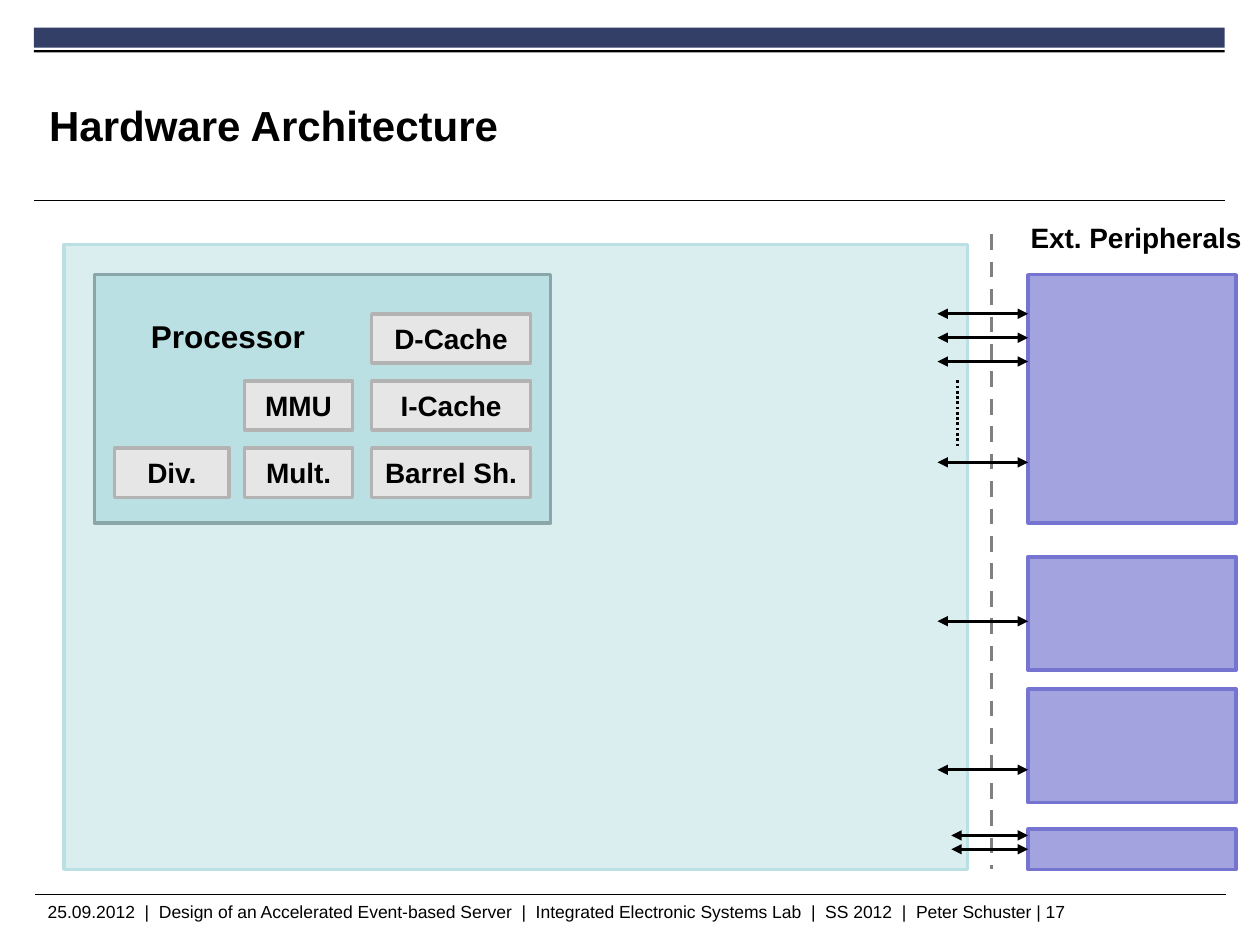
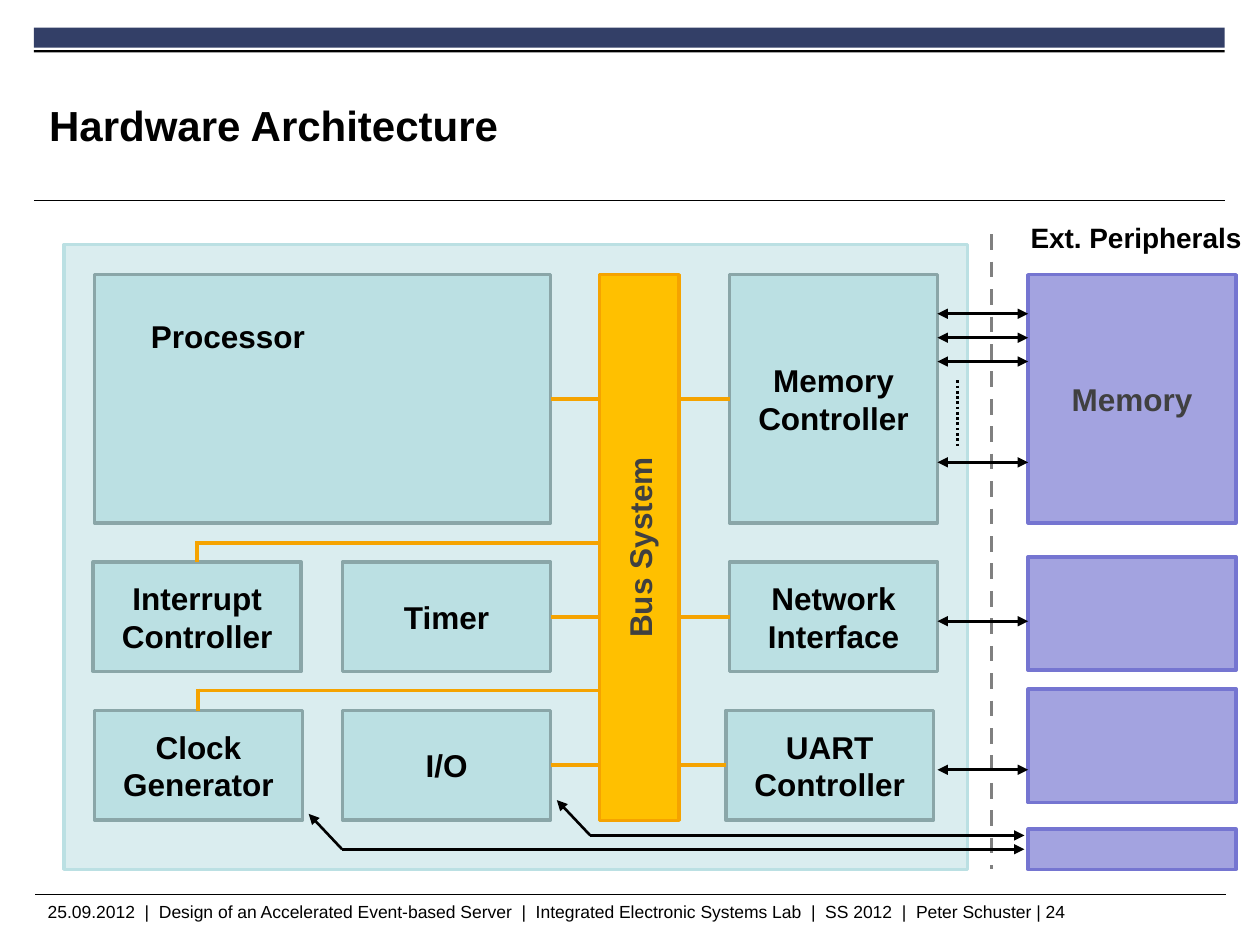
from dataclasses import dataclass
from typing import NamedTuple

from pptx import Presentation
from pptx.dml.color import RGBColor
from pptx.enum.dml import MSO_LINE
from pptx.enum.shapes import MSO_CONNECTOR, MSO_SHAPE
from pptx.enum.text import MSO_ANCHOR, PP_ALIGN
from pptx.oxml.ns import qn
from pptx.util import Pt

RECT = MSO_SHAPE.RECTANGLE
STRAIGHT = MSO_CONNECTOR.STRAIGHT
DASH, DOT = MSO_LINE.DASH, MSO_LINE.ROUND_DOT
TOP, MIDDLE = MSO_ANCHOR.TOP, MSO_ANCHOR.MIDDLE
LEFT, CENTER = PP_ALIGN.LEFT, PP_ALIGN.CENTER
NORTH, WEST, EAST = 0, 1, 3  # connection sites of a rectangle


# Theme
@dataclass(frozen=True)
class Theme:
    font: str = "Arial"
    black: str = "000000"
    navy: str = "333F67"
    gray: str = "808080"
    dark: str = "404040"
    pale: str = "DAEDEF"
    aqua: str = "BBE0E3"
    teal: str = "8AA6A8"
    lilac: str = "A3A3E0"
    violet: str = "7575D1"
    silver: str = "E6E6E6"
    steel: str = "B3B3B3"
    gold: str = "FFC000"
    orange: str = "F5A300"
    title: float = 24
    block: float = 18
    label: float = 16
    foot: float = 10
    border: float = 2
    hair: float = 0.6
    arrow: float = 1.5
    wire: float = 2.25


THEME = Theme()


class Look(NamedTuple):
    fill: str
    edge: str | None = None
    ink: str = THEME.black
    size: float = THEME.block


BAND = Look(THEME.navy)
BAR = Look(THEME.black)
CHIP = Look(THEME.pale, THEME.aqua)
UNIT = Look(THEME.aqua, THEME.teal)
PART = Look(THEME.silver, THEME.steel, size=THEME.label)
EXTERN = Look(THEME.lilac, THEME.violet, THEME.dark)
BUS = Look(THEME.gold, THEME.orange, THEME.dark)


class Inset(NamedTuple):
    left: float = 7.2
    top: float = 3.6
    right: float = 7.2
    bottom: float = 3.6


@dataclass(frozen=True)
class Box:
    left: float
    top: float
    width: float
    height: float
    look: Look
    text: str = ""
    anchor: MSO_ANCHOR = MIDDLE
    align: PP_ALIGN = CENTER
    inset: Inset = Inset()
    turned: bool = False


@dataclass(frozen=True)
class Label:
    left: float
    top: float
    width: float
    height: float
    text: str
    size: float
    bold: bool = True
    anchor: MSO_ANCHOR = TOP
    inset: Inset = Inset()


@dataclass(frozen=True)
class Wire:
    x1: float
    y1: float
    x2: float
    y2: float
    color: str = THEME.black
    width: float = THEME.arrow
    dash: MSO_LINE | None = None
    head: bool = False
    tail: bool = False


# Drawing
def put(target, values: dict) -> None:
    for name, value in values.items():
        setattr(target, name, value)


def write(shape, text: str, size: float, ink: str, bold: bool,
          anchor: MSO_ANCHOR, align: PP_ALIGN, inset: Inset) -> None:
    frame = shape.text_frame
    frame.text = text
    put(frame, {"word_wrap": True, "vertical_anchor": anchor})
    put(frame, {f"margin_{side}": Pt(gap) for side, gap in inset._asdict().items()})
    for para in frame.paragraphs:
        para.alignment = align
        put(para.font, {"name": THEME.font, "size": Pt(size), "bold": bold})
        para.font.color.rgb = RGBColor.from_string(ink)


def draw_box(slide, box: Box):
    look = box.look
    shape = slide.shapes.add_shape(
        RECT, Pt(box.left), Pt(box.top), Pt(box.width), Pt(box.height))
    shape.shadow.inherit = False
    shape.fill.solid()
    shape.fill.fore_color.rgb = RGBColor.from_string(look.fill)
    if look.edge:
        shape.line.color.rgb = RGBColor.from_string(look.edge)
        shape.line.width = Pt(THEME.border)
    else:
        shape.line.fill.background()
    if box.text:
        write(shape, box.text, look.size, look.ink, True,
              box.anchor, box.align, box.inset)
    if box.turned:
        shape.element.txBody.bodyPr.set("vert", "vert270")
    return shape


def draw_label(slide, label: Label) -> None:
    shape = slide.shapes.add_textbox(
        Pt(label.left), Pt(label.top), Pt(label.width), Pt(label.height))
    write(shape, label.text, label.size, THEME.black, label.bold,
          label.anchor, LEFT, label.inset)


def draw_wire(slide, wire: Wire):
    link = slide.shapes.add_connector(
        STRAIGHT, Pt(wire.x1), Pt(wire.y1), Pt(wire.x2), Pt(wire.y2))
    link.line.color.rgb = RGBColor.from_string(wire.color)
    put(link.line, {"width": Pt(wire.width), "dash_style": wire.dash})
    props = link.element.spPr
    for tag, shown in (("a:headEnd", wire.head), ("a:tailEnd", wire.tail)):
        if shown:
            end = props.ln.makeelement(qn(tag), {"type": "triangle"})
            props.ln.append(end)
    props.append(props.makeelement(qn("a:effectLst"), {}))
    return link


# Shared layout
EDGE, SPAN = 19.4, 680.4
ROW1, TALL = 157, 141.8
UNIT_W, UNIT_H = 118.8, 62.6
ROW2, ROW3 = 321.1, 406.1
EXT_X, PORT_X = 587.5, 535.7
PORTS = (179.3, 193, 206.6, 264.2, 355, 439.9)
PIN_A, PIN_B = 477.4, 485.3
FOOT = ("25.09.2012  |  Design of an Accelerated Event-based Server  |  "
        "Integrated Electronic Systems Lab  |  SS 2012  |  Peter Schuster | ")

CORE = Box(54, ROW1, 260.6, TALL, UNIT, "Processor", TOP, LEFT, Inset(32.2, 24.3))


def draw_frame(slide, page: int) -> None:
    draw_box(slide, Box(EDGE, 15.8, SPAN, 11.5, BAND))
    draw_box(slide, Box(EDGE, 28.6, SPAN, 1.4, BAR))
    for left, y in ((EDGE, 114.5), (20.2, 511.2)):
        draw_wire(slide, Wire(left, y, left + SPAN, y, width=THEME.hair))
    draw_label(slide, Label(20.2, 511.2, 629.3, 18, f"{FOOT}{page}",
                            THEME.foot, bold=False))
    draw_label(slide, Label(28.1, 38.2, 541.4, 66.2, "Hardware Architecture",
                            THEME.title, anchor=MIDDLE, inset=Inset(0, 0, 0, 0)))
    draw_box(slide, Box(36.7, 139.7, 516.2, 357.1, CHIP))


def draw_extern(slide, memo: str = ""):
    """Draw the outer devices with their ports and return the lowest one."""
    draw_wire(slide, Wire(566.6, 133.9, 566.6, 496.8, THEME.gray, THEME.wire, DASH))
    for top, height, text in ((ROW1, TALL, memo), (318.2, 64.8, ""),
                              (393.8, 64.8, ""), (473.8, 23, "")):
        last = draw_box(slide, Box(EXT_X, top, UNIT_W, height, EXTERN, text))
    for y in PORTS:
        draw_wire(slide, Wire(PORT_X, y, EXT_X, y, head=True, tail=True))
    draw_wire(slide, Wire(547.2, 217.4, 547.2, 255.6, dash=DOT))
    draw_label(slide, Label(581.8, 122.4, 138, 26.6, "Ext. Peripherals", THEME.label))
    return last


# Slide with the parts inside the processor
def draw_parts(slide) -> None:
    draw_frame(slide, 17)
    draw_box(slide, CORE)
    last = draw_extern(slide)
    for y in (PIN_A, PIN_B):
        pin = draw_wire(slide, Wire(543.6, y, EXT_X, y, head=True, tail=True))
    pin.end_connect(last, WEST)

    cols = ((65.5, 65.5), (139.7, 61.9), (212.4, 90.7))
    rows = (("", "", "D-Cache"), ("", "MMU", "I-Cache"), ("Div.", "Mult.", "Barrel Sh."))
    for row, names in enumerate(rows):
        for (left, width), name in zip(cols, names):
            if name:
                draw_box(slide, Box(left, 179.3 + 38.4 * row, width, 28.1, PART, name,
                                    inset=Inset(3.6, 3.6, 3.6, 3.6)))


# Slide with the units around the bus
def draw_units(slide) -> None:
    draw_frame(slide, 24)
    core = draw_box(slide, CORE)
    plan = (
        ("Memory Controller", 416.9, ROW1, TALL),
        ("Network Interface", 416.9, ROW2, UNIT_H),
        ("UART Controller", 414.7, ROW3, UNIT_H),
        ("Timer", 195.8, ROW2, UNIT_H),
        ("I/O", 195.8, ROW3, UNIT_H),
        ("Interrupt\nController", 53.3, ROW2, UNIT_H),
        ("Clock\nGenerator", 54, ROW3, UNIT_H),
    )
    memo, net, uart, timer, ports, alarm, clock = (
        draw_box(slide, Box(left, top, UNIT_W, height, UNIT, text))
        for text, left, top, height in plan)

    # Bus wires run below the bus, which is drawn last
    bus = Box(342.7, ROW1, 45.4, 311.8, BUS, "Bus System", turned=True)
    far = bus.left + bus.width
    for start, stop in ((core, memo), (timer, net), (ports, uart)):
        link = draw_wire(slide, Wire(0, 0, far, 0, THEME.orange, THEME.wire))
        link.begin_connect(start, EAST)
        link.end_connect(stop, WEST)
    for unit, y in ((alarm, 310.3), (clock, 394.6)):
        x = unit.left.pt + unit.width.pt / 2
        stub = draw_wire(slide, Wire(x, y - 1.1, x, unit.top.pt,
                                     THEME.orange, THEME.wire))
        stub.end_connect(unit, NORTH)
        draw_wire(slide, Wire(x, y, far, y, THEME.orange, THEME.wire))
    draw_box(slide, bus)

    draw_extern(slide, "Memory")
    for x, top, bend, y in ((318.2, 457.2, 337.3, PIN_A), (176.4, 465.1, 195.5, PIN_B)):
        draw_wire(slide, Wire(x, top, bend, y, head=True))
        draw_wire(slide, Wire(bend, y, 585.4, y, tail=True))


def main() -> None:
    deck = Presentation()
    put(deck, {"slide_width": Pt(720), "slide_height": Pt(540)})
    blank = deck.slide_layouts[6]
    for draw in (draw_parts, draw_units):
        draw(deck.slides.add_slide(blank))
    deck.save("out.pptx")


if __name__ == "__main__":
    main()
